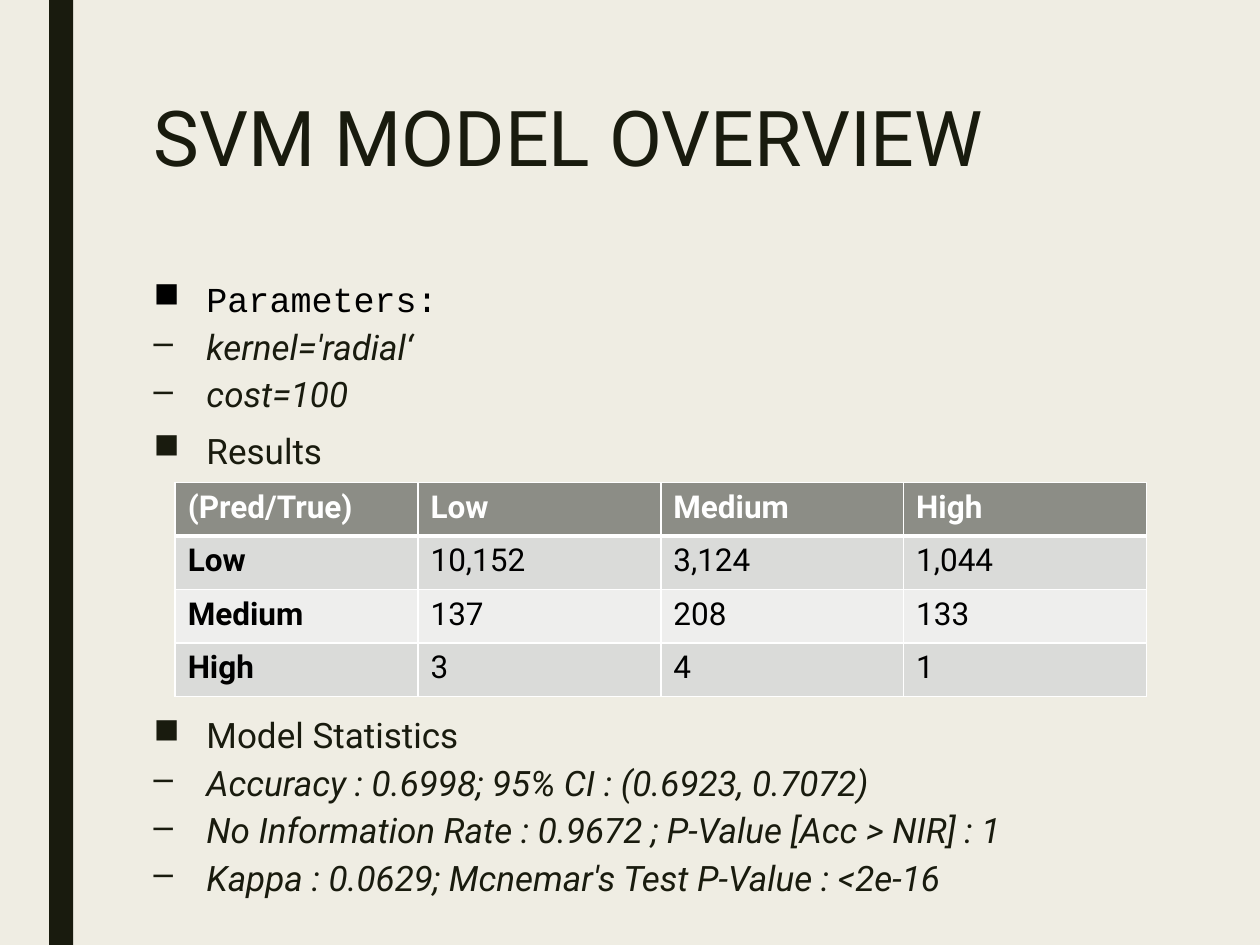
from dataclasses import dataclass

from lxml.etree import SubElement
from pptx import Presentation
from pptx.dml.color import RGBColor
from pptx.enum.shapes import MSO_SHAPE
from pptx.enum.text import MSO_ANCHOR
from pptx.oxml.ns import qn
from pptx.util import Inches, Pt

COLUMNS, ROWS = 100, 75
UNIT = Inches(0.1)
INK, BLACK, WHITE, PAPER = "191B0E", "000000", "FFFFFF", "EFEDE3"
HEADER_FILL, BAND_FILLS = "8C8D86", ("DADBD9", "EEEEED")
FONT, CODE_FONT = "Roboto", "Courier New"
INDENT = 4.2

SETTINGS = [
    ("Parameters:", 0, CODE_FONT, BLACK),
    ("kernel='radial‘", 1, FONT, INK),
    ("cost=100", 1, FONT, INK),
    ("Results", 0, FONT, INK),
]
STATISTICS = [
    ("Model Statistics", 0, FONT, INK),
    ("Accuracy : 0.6998; 95% CI : (0.6923, 0.7072)", 1, FONT, INK),
    ("No Information Rate : 0.9672 ; P-Value [Acc > NIR] : 1", 1, FONT, INK),
    ("Kappa : 0.0629; Mcnemar's Test P-Value : <2e-16", 1, FONT, INK),
]
CONFUSION_MATRIX = [
    ("(Pred/True)", "Low", "Medium", "High"),
    ("Low", "10,152", "3,124", "1,044"),
    ("Medium", "137", "208", "133"),
    ("High", "3", "4", "1"),
]


@dataclass
class Box:
    column: float
    row: float
    columns: float
    rows: float

    def emu(self):
        return [round(n * UNIT) for n in (self.column, self.row, self.columns, self.rows)]


def color(value):
    return RGBColor.from_string(value)


def format_font(font, size, name, value, bold=False, italic=False):
    font.size, font.name = Pt(size), name
    font.bold, font.italic = bold, italic
    font.color.rgb = color(value)


def add_text_frame(slide, box):
    text_frame = slide.shapes.add_textbox(*box.emu()).text_frame
    text_frame.word_wrap = True
    text_frame.vertical_anchor = MSO_ANCHOR.TOP
    return text_frame


def add_side_bar(slide, box):
    shape = slide.shapes.add_shape(MSO_SHAPE.RECTANGLE, *box.emu())
    shape.shadow.inherit = False
    shape.fill.solid()
    shape.fill.fore_color.rgb = color(INK)
    shape.line.fill.background()


def add_title(slide, box, text):
    paragraph = add_text_frame(slide, box).paragraphs[0]
    paragraph.text = text
    paragraph.line_spacing = 0.89
    format_font(paragraph.runs[0].font, 44, FONT, INK)


def set_bullet(paragraph, character):
    properties = paragraph._p.get_or_add_pPr()
    properties.set("marL", str(round(INDENT * UNIT)))
    properties.set("indent", str(round(-INDENT * UNIT)))
    SubElement(properties, qn("a:buChar"), char=character)


def add_outline(slide, box, items):
    text_frame = add_text_frame(slide, box)
    for index, (text, level, name, value) in enumerate(items):
        paragraph = text_frame.add_paragraph() if index else text_frame.paragraphs[0]
        paragraph.text = text
        paragraph.level = level
        set_bullet(paragraph, "■–"[level])
        paragraph.line_spacing = 0.84
        paragraph.space_before = Pt((10, 5)[level] if index else 0)
        paragraph.space_after = Pt(2)
        format_font(paragraph.runs[0].font, 20, name, value, italic=level == 1)


def set_borders(cell, widths):
    properties = cell._tc.get_or_add_tcPr()
    for side, width in zip("LRTB", widths):
        line = SubElement(properties, qn(f"a:ln{side}"), w=str(Pt(width)))
        fill = SubElement(line, qn("a:solidFill"))
        SubElement(fill, qn("a:srgbClr"), val=WHITE)


def add_matrix(slide, box, matrix):
    table = slide.shapes.add_table(len(matrix), len(matrix[0]), *box.emu()).table
    for row, values in enumerate(matrix):
        header = row == 0
        for column, value in enumerate(values):
            cell = table.cell(row, column)
            set_borders(cell, (1, 1, 3 if row == 1 else 1, 3 if header else 1))
            cell.fill.solid()
            cell.fill.fore_color.rgb = color(HEADER_FILL if header else BAND_FILLS[(row - 1) % 2])
            cell.text = value
            font = cell.text_frame.paragraphs[0].runs[0].font
            format_font(font, 18, FONT, WHITE if header else BLACK, bold=header or column == 0)


def build_overview(slide):
    slide.background.fill.solid()
    slide.background.fill.fore_color.rgb = color(PAPER)
    add_side_bar(slide, Box(3.9, 0, 1.9, ROWS))
    add_title(slide, Box(11.2, 7.5, 78.8, 14), "SVM MODEL OVERVIEW")
    add_outline(slide, Box(11.2, 22.1, 78.8, 16), SETTINGS)
    add_outline(slide, Box(11.2, 56.7, 78.8, 16.6), STATISTICS)
    add_matrix(slide, Box(13.9, 38.3, 77.1, 17), CONFUSION_MATRIX)


def main():
    presentation = Presentation()
    presentation.slide_width = COLUMNS * UNIT
    presentation.slide_height = ROWS * UNIT
    build_overview(presentation.slides.add_slide(presentation.slide_layouts[6]))
    presentation.save("out.pptx")


if __name__ == "__main__":
    main()
